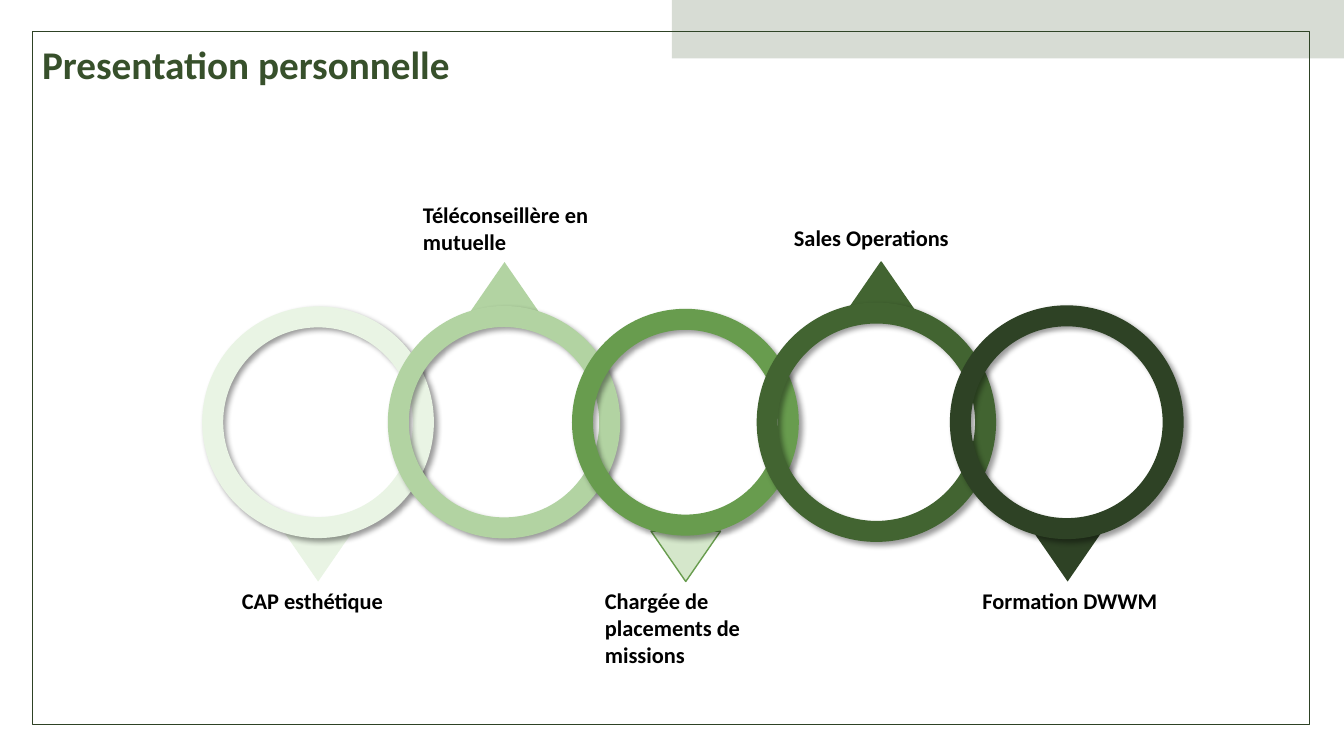
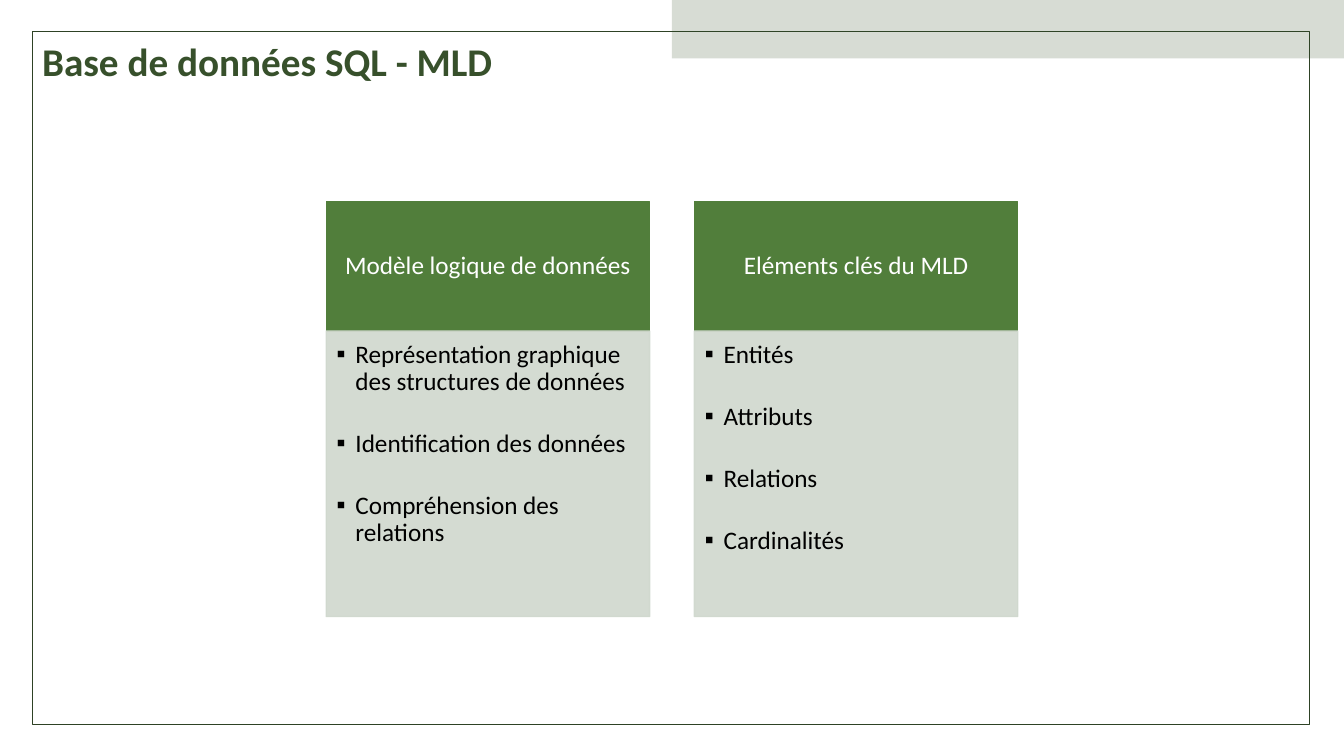
from dataclasses import dataclass

from lxml import etree
from pptx import Presentation
from pptx import util as u
from pptx.dml import color
from pptx.enum import shapes, text
from pptx.oxml import ns

Pt = u.Pt
FONT = "Calibri"
WIDTH, HEIGHT = 960, 540
DARK, TITLE, HEAD, PANEL = "2E4225", "37502B", "517E3B", "D0D8CE"
WHITE, BLACK = "FFFFFF", "000000"
SHAPE = shapes.MSO_SHAPE
ALIGN = text.PP_ALIGN
ANCHOR = text.MSO_ANCHOR


@dataclass
class Milestone:
    label: str
    ring_color: str
    center: float
    diameter: float
    pointer_center: float
    pointer_up: bool
    label_left: float
    label_top: float
    pointer_fill: str = ""
    pointer_line: str = ""


MILESTONES = [
    Milestone("CAP esthétique", "E9F4E4", 75.2, 150.5, 75.2, False, 13.6, 275.8),
    Milestone("Téléconseillère en mutuelle", "B2D3A2", 208, 151, 208.4, True, 143, 0.4),
    Milestone("Chargée de placements de missions", "689C4E", 337.6, 147, 337.8, False,
              273, 275.8, "D5E7CB", "689C4E"),
    Milestone("Sales Operations", "426431", 474, 156, 477.4, True,
              408, 16.6, "426431", "426431"),
    Milestone("Formation DWWM", DARK, 610, 152, 610.6, False, 542.6, 275.8),
]

COLUMNS = [
    ("Modèle logique de données", [
        "Représentation graphique des structures de données",
        "Identification des données",
        "Compréhension des relations",
    ]),
    ("Eléments clés du MLD", ["Entités", "Attributs", "Relations", "Cardinalités"]),
]


def rgb(value):
    return color.RGBColor.from_string(value)


def add_element(parent, tag, **attributes):
    element = etree.SubElement(parent, ns.qn(tag))
    for name, value in attributes.items():
        element.set(name, str(value))
    return element


def add_shape(slide, kind, box, fill=None, line=None, line_width=1, opacity=100):
    shape = slide.shapes.add_shape(kind, *map(Pt, box))
    shape.shadow.inherit = False
    if fill:
        shape.fill.solid()
        shape.fill.fore_color.rgb = rgb(fill)
    else:
        shape.fill.background()
    if line:
        shape.line.color.rgb = rgb(line)
        shape.line.width = Pt(line_width)
    else:
        shape.line.fill.background()
    if opacity < 100:
        for clr in shape._element.spPr.iter(ns.qn("a:srgbClr")):
            add_element(clr, "a:alpha", val=opacity * 1000)
    return shape


def add_ring_shadow(shape):
    effects = shape._element.spPr.find(ns.qn("a:effectLst"))
    shadow = add_element(effects, "a:outerShdw", blurRad=Pt(4), dist=Pt(3),
                         dir=45 * 60000, algn="tl", rotWithShape=0)
    clr = add_element(shadow, "a:srgbClr", val=BLACK)
    add_element(clr, "a:alpha", val=40000)


def write_text(shape, lines, size=18, ink=BLACK, bold=False, align=ALIGN.LEFT,
               anchor=ANCHOR.TOP, insets=(7.2, 3.6, 7.2, 3.6), wrap=True,
               line_spacing=1.0, space_after=0, bullet=None, indent=0):
    frame = shape.text_frame
    frame.word_wrap = wrap
    frame.vertical_anchor = anchor
    (frame.margin_left, frame.margin_top,
     frame.margin_right, frame.margin_bottom) = map(Pt, insets)
    for index, line in enumerate(lines):
        paragraph = frame.add_paragraph() if index else frame.paragraphs[0]
        paragraph.text = line
        paragraph.alignment = align
        paragraph.line_spacing = line_spacing
        paragraph.space_after = Pt(space_after)
        if bullet:
            properties = paragraph._p.get_or_add_pPr()
            properties.set("marL", str(Pt(indent)))
            properties.set("indent", str(-Pt(indent)))
            add_element(properties, "a:buFont", typeface=FONT)
            add_element(properties, "a:buChar", char=bullet)
        font = paragraph.runs[0].font
        font.name, font.size, font.bold = FONT, Pt(size), bold
        font.color.rgb = rgb(ink)


def add_label(slide, box, line, **style):
    write_text(slide.shapes.add_textbox(*map(Pt, box)), [line], **style)


def add_base_slide(presentation, title, title_height):
    slide = presentation.slides.add_slide(presentation.slide_layouts[6])
    add_shape(slide, SHAPE.RECTANGLE, (23, 22.3, 912.2, 495.4), line=DARK, line_width=0.75)
    add_shape(slide, SHAPE.RECTANGLE, (WIDTH / 2, 0, WIDTH / 2, 41.8), fill=TITLE, opacity=20)
    add_label(slide, (23, 22.3, 350, title_height), title, size=28, ink=TITLE, bold=True,
              anchor=ANCHOR.MIDDLE, wrap=False)
    return slide


def add_pointer(slide, left, top, milestone):
    width, height = 49.7, 36
    offset = 47.2 if milestone.pointer_up else 239.4
    pointer = add_shape(
        slide, SHAPE.ISOSCELES_TRIANGLE,
        (left + milestone.pointer_center - width / 2, top + offset, width, height),
        fill=milestone.pointer_fill or milestone.ring_color, line=milestone.pointer_line)
    pointer.rotation = 0 if milestone.pointer_up else 180


def add_ring(slide, left, top, milestone):
    axis = 161.6
    radius = milestone.diameter / 2
    ring = add_shape(
        slide, SHAPE.OVAL,
        (left + milestone.center - radius, top + axis - radius,
         milestone.diameter, milestone.diameter),
        line=milestone.ring_color, line_width=15)
    add_ring_shadow(ring)


def add_ring_chain(slide, left, top):
    for milestone in MILESTONES:
        add_pointer(slide, left, top, milestone)
    for milestone in MILESTONES:
        add_ring(slide, left, top, milestone)
        add_label(slide, (left + milestone.label_left, top + milestone.label_top, 143, 27),
                  milestone.label, size=16, bold=True)


def add_column(slide, left, top, width, height, heading, items):
    head_height = 92.4
    head = add_shape(slide, SHAPE.RECTANGLE, (left, top, width, head_height),
                     fill=HEAD, line=HEAD)
    write_text(head, [heading], ink=WHITE, align=ALIGN.CENTER, anchor=ANCHOR.MIDDLE,
               insets=(10, 5.8, 10, 5.8), line_spacing=0.9)
    body = add_shape(slide, SHAPE.RECTANGLE,
                     (left, top + head_height, width, height - head_height),
                     fill=PANEL, line=PANEL, opacity=90)
    write_text(body, items, insets=(7.4, 7.6, 10, 11.5), line_spacing=0.9,
               space_after=24.8, bullet="▪", indent=13.5)


def add_columns(slide, left, top, width, height):
    gap = 32
    column_width = (width - gap * (len(COLUMNS) - 1)) / len(COLUMNS)
    for index, (heading, items) in enumerate(COLUMNS):
        add_column(slide, left + index * (column_width + gap), top,
                   column_width, height, heading, items)


def main():
    presentation = Presentation()
    presentation.slide_width, presentation.slide_height = Pt(WIDTH), Pt(HEIGHT)
    add_ring_chain(add_base_slide(presentation, "Presentation personnelle", 46.8), 152, 140)
    add_columns(add_base_slide(presentation, "Base de données SQL - MLD", 41.8),
                233, 144, 494, 296.4)
    presentation.save("out.pptx")


if __name__ == "__main__":
    main()
